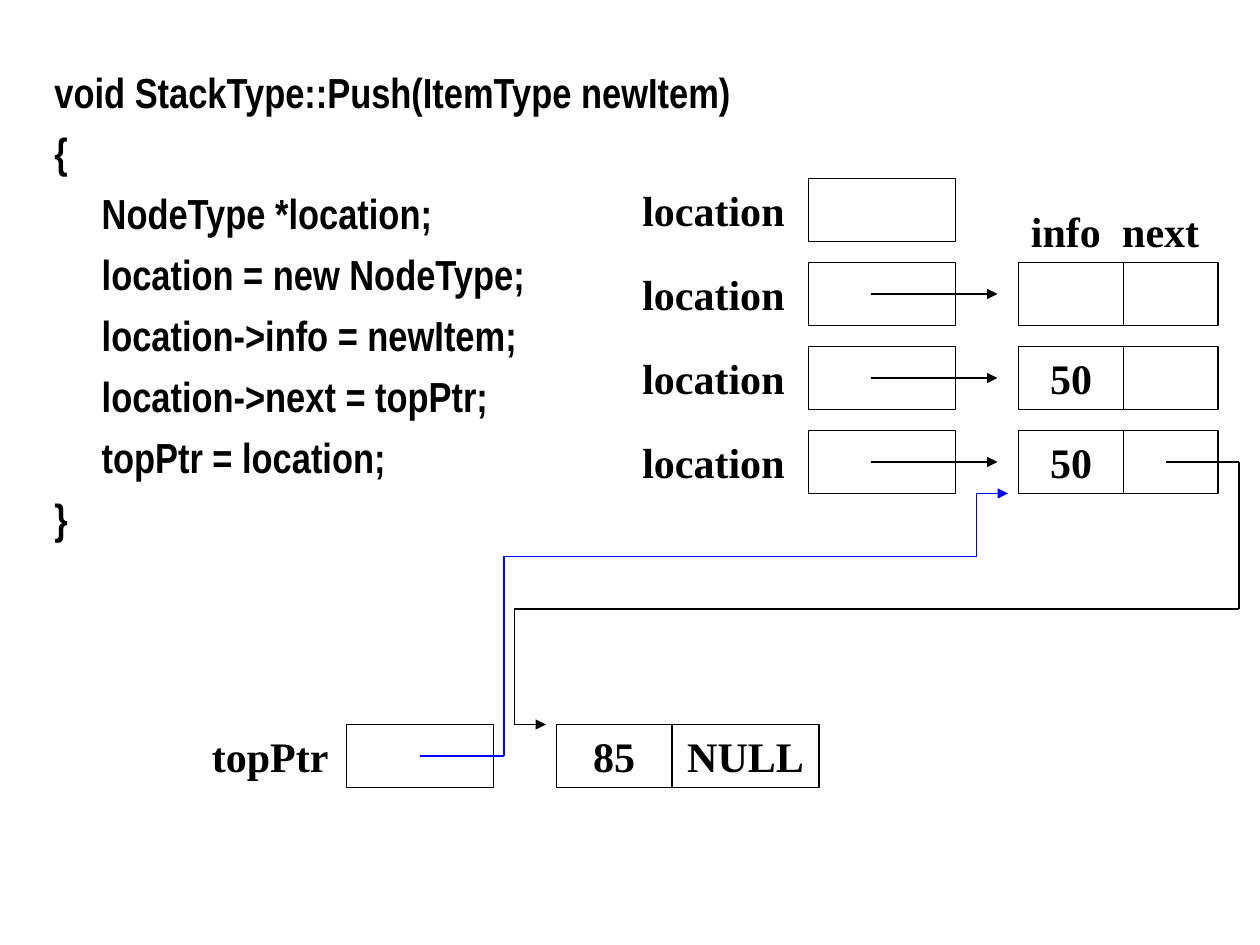
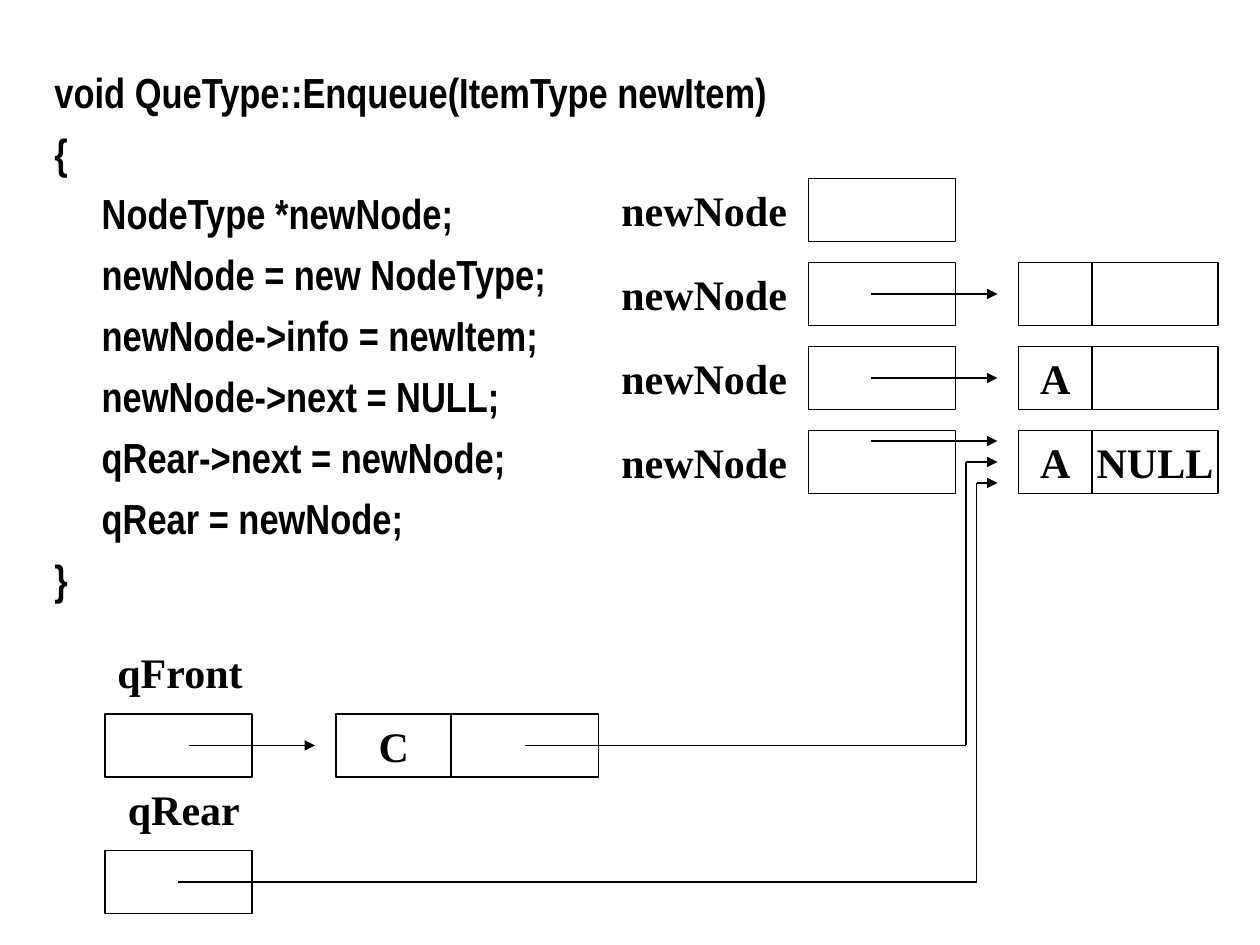
from dataclasses import dataclass
from itertools import pairwise

from lxml.etree import SubElement
from pptx import Presentation
from pptx.dml.color import RGBColor
from pptx.enum.shapes import MSO_CONNECTOR, MSO_SHAPE
from pptx.enum.text import MSO_ANCHOR, PP_ALIGN
from pptx.oxml.ns import qn
from pptx.util import Pt

EMU_PER_PX = 7620  # 120 px to the inch
CELL_HEIGHT = 60
POINTER_WIDTH = 140
STEP_TOPS = [170 + 80 * step for step in range(4)]
POINTER_LEFT, NODE_LEFT = 770, 970
ARROW_LEFT, ARROW_RIGHT = 830, 950


@dataclass(frozen=True)
class Theme:
    ink: RGBColor = RGBColor(0, 0, 0)
    paper: RGBColor = RGBColor(255, 255, 255)
    accent: RGBColor = RGBColor(0, 0, 255)
    code_font: str = "Arial Narrow"
    label_font: str = "Times New Roman"
    text_size: Pt = Pt(24)
    code_gap: Pt = Pt(6)
    line_width: Pt = Pt(1)


THEME = Theme()


def px(*lengths):
    return [length * EMU_PER_PX for length in lengths]


def set_values(target, values):
    for name, value in values.items():
        setattr(target, name, value)


def write(para, text, font_name):
    span = para.add_run()
    span.text = text
    set_values(span.font, {"name": font_name, "size": THEME.text_size, "bold": True})
    span.font.color.rgb = THEME.ink


def add_code(page, lines):
    """Set a function listing; the lines inside its braces are indented."""
    box = page.shapes.add_textbox(*px(40, 57, 1139, 43 + 58 * len(lines)))
    box.text_frame.word_wrap = True
    for number, line in enumerate(lines):
        para = box.text_frame.paragraphs[0] if number == 0 else box.text_frame.add_paragraph()
        para.space_before = THEME.code_gap
        if 2 <= number < len(lines) - 1:
            para._p.get_or_add_pPr().set("marL", str(45 * EMU_PER_PX))
        write(para, line, THEME.code_font)


def add_label(page, text, left, top, width):
    box = page.shapes.add_textbox(*px(left, top, width, CELL_HEIGHT))
    box.text_frame.word_wrap = True
    write(box.text_frame.paragraphs[0], text, THEME.label_font)


def add_cell(page, left, top, width, text=""):
    cell = page.shapes.add_shape(MSO_SHAPE.RECTANGLE, *px(left, top, width, CELL_HEIGHT))
    cell.shadow.inherit = False
    cell.fill.solid()
    cell.fill.fore_color.rgb = THEME.paper
    cell.line.color.rgb = THEME.ink
    cell.line.width = THEME.line_width
    if text:
        set_values(cell.text_frame, {"word_wrap": False, "vertical_anchor": MSO_ANCHOR.MIDDLE})
        para = cell.text_frame.paragraphs[0]
        para.alignment = PP_ALIGN.CENTER
        write(para, text, THEME.label_font)


def add_node(page, left, top, widths, info="", link=""):
    """Draw a list node: an info cell and the next cell beside it."""
    add_cell(page, left, top, widths[0], info)
    add_cell(page, left + widths[0], top, widths[1], link)


def add_arrow(page, *points, color=THEME.ink):
    """Join the points with straight lines and put a head on the last one."""
    for start, end in pairwise(points):
        line = page.shapes.add_connector(MSO_CONNECTOR.STRAIGHT, *px(*start, *end))
        set_values(line.line, {"width": THEME.line_width})
        line.line.color.rgb = color
        SubElement(line._element.spPr, qn("a:effectLst"))
    SubElement(line.get_or_add_ln(), qn("a:tailEnd"), type="triangle")


def add_steps(page, name, label_left, node_widths, contents, last_arrow_drop=30):
    """Draw the pointer and its node after each statement; the first has no node."""
    for top in STEP_TOPS:
        add_cell(page, POINTER_LEFT, top, POINTER_WIDTH)
        add_label(page, name, label_left, top, 214)
    for top, content in zip(STEP_TOPS[1:], contents):
        add_node(page, NODE_LEFT, top, node_widths, *content)
        height = top + (last_arrow_drop if top == STEP_TOPS[-1] else 30)
        add_arrow(page, (ARROW_LEFT, height), (ARROW_RIGHT, height))


def build_push(page):
    add_code(page, [
        "void StackType::Push(ItemType newItem)",
        "{",
        "NodeType *location;",
        "location = new NodeType;",
        "location->info = newItem;",
        "location->next = topPtr;",
        "topPtr = location;",
        "}",
    ])
    add_steps(page, "location", 600, (100, 90), [(), ("50",), ("50",)])
    add_label(page, "info", 970, 190, 100)
    add_label(page, "next", 1057, 190, 110)

    add_cell(page, 330, 690, POINTER_WIDTH)
    add_label(page, "topPtr", 190, 690, 184)
    add_node(page, 530, 690, (110, 140), "85", "NULL")
    add_arrow(page, (1110, 440), (1180, 440), (1180, 580), (490, 580), (490, 690), (520, 690))
    add_arrow(page, (400, 720), (480, 720), (480, 530), (930, 530), (930, 470), (960, 470),
              color=THEME.accent)


def build_enqueue(page):
    add_code(page, [
        "void QueType::Enqueue(ItemType newItem)",
        "{",
        "NodeType *newNode;",
        "newNode = new NodeType;",
        "newNode->info = newItem;",
        "newNode->next = NULL;",
        "qRear->next = newNode;",
        "qRear = newNode;",
        "}",
    ])
    add_steps(page, "newNode", 580, (70, 120), [(), ("A",), ("A", "NULL")], last_arrow_drop=10)

    add_cell(page, 100, 680, POINTER_WIDTH)
    add_label(page, "qFront", 100, 610, 184)
    add_node(page, 320, 680, (110, 140), "C")
    add_arrow(page, (180, 710), (300, 710))
    add_arrow(page, (500, 710), (920, 710), (920, 440), (ARROW_RIGHT, 440))

    add_cell(page, 100, 810, POINTER_WIDTH)
    add_label(page, "qRear", 110, 740, 150)
    add_arrow(page, (170, 840), (930, 840), (930, 460), (ARROW_RIGHT, 460))


def main():
    deck = Presentation()
    deck.slide_width, deck.slide_height = px(1200, 900)
    for build in (build_push, build_enqueue):
        build(deck.slides.add_slide(deck.slide_layouts[6]))
    deck.save("out.pptx")


if __name__ == "__main__":
    main()
